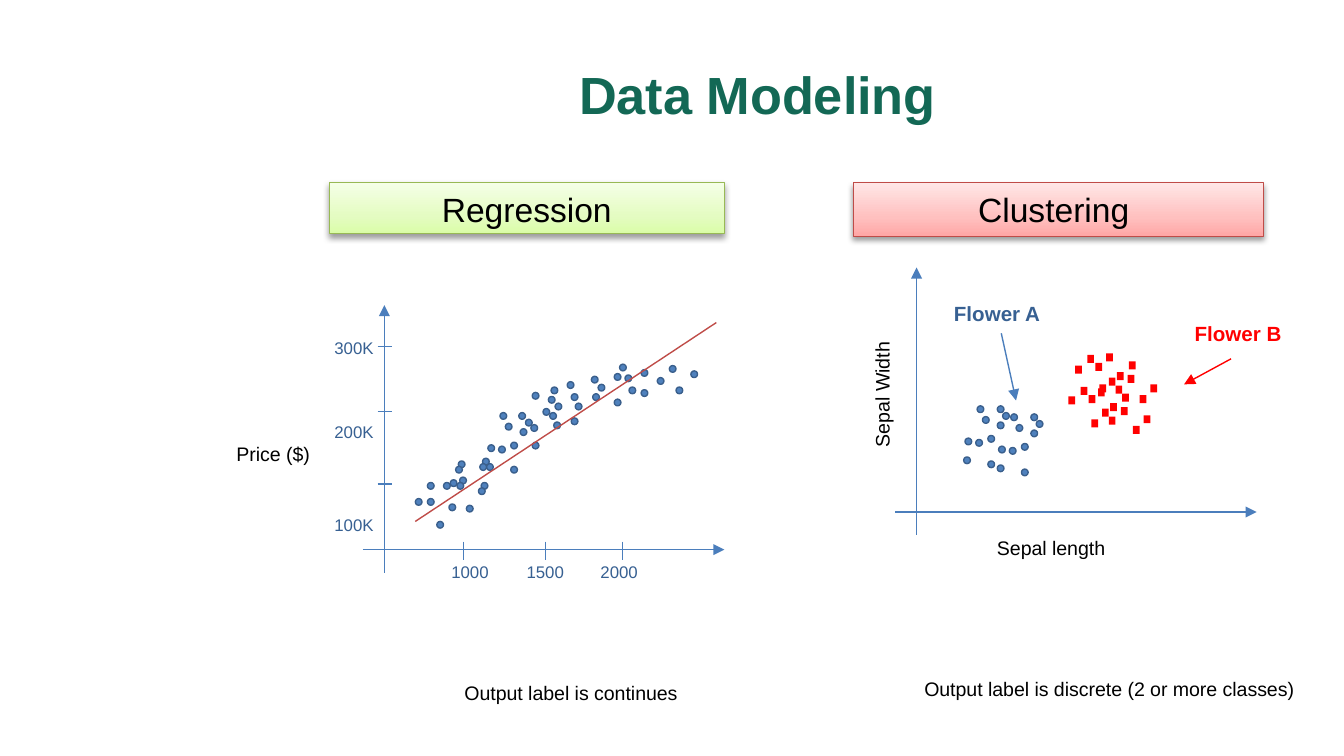
from pptx import Presentation
from pptx.dml.color import RGBColor
from pptx.enum.shapes import MSO_CONNECTOR, MSO_SHAPE
from pptx.enum.text import MSO_ANCHOR, MSO_AUTO_SIZE, PP_ALIGN
from pptx.oxml import parse_xml
from pptx.oxml.ns import nsdecls
from pptx.util import Emu, Pt

PX = 9144  # 100 px to the inch
SLIDE = (1000, 562.5)  # 16:9
FONT = "Arial"
COLORS = {
    "title": "136855", "ink": "000000", "axis": "4B7EBC", "label": "376092",
    "dot": "4F81BD", "dot_edge": "3A5F8C", "trend": "BF4C48", "red": "FF0000",
    "green_edge": "98B955",
}
LEFT, CENTER = PP_ALIGN.LEFT, PP_ALIGN.CENTER

# Content: banners as text, box, edge, gradient stops (percent, colour)
TITLE = ("Data Modeling ", (188, 23, 762, 94))
BANNERS = [
    ("Regression", (245, 136, 294, 38), "green_edge",
     [(0, "DAFDA7"), (35, "E4FCC2"), (100, "F5FFE7")]),
    ("Clustering ", (635, 136, 305, 40), "trend",
     [(0, "FFA6A5"), (35, "FFC0BF"), (100, "FFE7E7")]),
]

# Labels: text, box, size, colour, extra format
LABELS = [
    ("Price ($)", (166, 324, 78, 29), 10.5, "ink", {}),
    ("Output label is continues", (296, 502, 258, 28), 10.5, "ink", {"align": CENTER}),
    ("Output label is discrete (2 or more classes)", (673, 499, 305, 28), 10.5, "ink",
     {"align": CENTER, "wrap": False}),
    ("Sepal length", (732, 394, 156, 29), 10.5, "ink", {}),
    ("Sepal Width", (606, 278, 101, 28), 10.5, "ink", {"rotation": 270}),
    ("Flower A", (700, 219, 90, 29), 11, "label", {"bold": True}),
    ("Flower B", (879, 234, 90, 29), 11, "red", {"bold": True}),
]
AREA_SCALE = (["1000", "1500", "2000"], (326, 413, 207, 25), [56, 111])  # tab stops
PRICE_SCALE = (["300K", "200K", "100K"], (239, 246, 60, 128), [0, 34.6, 38.8])  # space before

# Lines: from x, y, to x, y, colour, arrow
LINES = [
    (270, 409, 539, 409, "axis", True),
    (286, 426, 286, 227, "axis", True),
    (666, 381, 935, 381, "axis", True),
    (682, 398, 682, 199, "axis", True),
    (745, 248, 756, 298, "axis", True),
    (916, 267, 881, 286, "red", True),
]
AREA_TICKS = [345, 406, 463]
PRICE_TICKS = [258, 306, 360]
TREND = (309, 388, 533, 240, "trend", False)

# Points: left, top
HOUSES = [
    (362, 345), (468, 288), (396, 329), (412, 314), (395, 316), (514, 276), (428, 300),
    (445, 286), (461, 271), (372, 307), (371, 332), (477, 275), (441, 293), (457, 278),
    (440, 280), (457, 297), (309, 371), (325, 388), (342, 355), (359, 341), (341, 343),
    (358, 359), (376, 315), (391, 312), (318, 371), (335, 357), (318, 359), (334, 375),
    (387, 319), (404, 304), (386, 307), (410, 288), (330, 359), (347, 376), (396, 292),
    (380, 329), (363, 331), (380, 347), (422, 284), (413, 300), (340, 359), (357, 345),
    (339, 347), (356, 363), (409, 307), (425, 293), (408, 295), (425, 311), (489, 281),
    (465, 279), (503, 288), (498, 272), (477, 290),
]
FLOWER_A = [
    (717, 340), (727, 302), (726, 327), (731, 310), (746, 307),
    (742, 314), (742, 302), (735, 324), (718, 326), (735, 343),
]
FLOWER_A_SHIFT = (25, 6)  # the same group appears a second time
FLOWER_B = [
    (800, 272), (817, 289), (815, 270), (831, 277), (848, 294), (830, 287), (809, 264),
    (825, 281), (823, 263), (840, 269), (856, 286), (839, 279), (795, 295), (812, 312),
    (810, 294), (826, 300), (843, 317), (825, 310), (804, 288), (820, 304), (818, 286),
    (835, 293), (851, 309), (834, 303),
]


def px(*lengths):
    return [Emu(round(length * PX)) for length in lengths]


def rgb(name):
    return RGBColor.from_string(COLORS[name])


def write(para, text, size, color, bold=False, align=LEFT):
    para.alignment = align
    span = para.add_run()
    span.text = text
    span.font.color.rgb = rgb(color)
    for key, value in {"name": FONT, "size": Pt(size), "bold": bold}.items():
        setattr(span.font, key, value)


def add_text_box(page, place, wrap=True, rotation=0):
    box = page.shapes.add_textbox(*px(*place))
    box.rotation = rotation
    box.text_frame.word_wrap = wrap
    box.text_frame.auto_size = MSO_AUTO_SIZE.SHAPE_TO_FIT_TEXT
    return box.text_frame


def add_label(page, text, place, size, color, wrap=True, rotation=0, **style):
    frame = add_text_box(page, place, wrap, rotation)
    write(frame.paragraphs[0], text, size, color, **style)


def add_line(page, x1, y1, x2, y2, color, arrow):
    line = page.shapes.add_connector(MSO_CONNECTOR.STRAIGHT, *px(x1, y1, x2, y2))
    line.line.color.rgb = rgb(color)
    line.line.width = Pt(0.75)
    if arrow:
        line.line._get_or_add_ln().append(
            parse_xml(f'<a:tailEnd {nsdecls("a")} type="triangle"/>'))
    line._element.spPr.append(parse_xml(f'<a:effectLst {nsdecls("a")}/>'))


def add_marks(page, points, kind, size, fill, edge=None):
    for x, y in points:
        mark = page.shapes.add_shape(kind, *px(x, y, *size))
        mark.shadow.inherit = False
        mark.fill.solid()
        mark.fill.fore_color.rgb = rgb(fill)
        if edge:
            mark.line.color.rgb = rgb(edge)
            mark.line.width = Pt(0.75)
        else:
            mark.line.fill.background()


def add_banner(page, text, place, edge, stops):
    banner = page.shapes.add_shape(MSO_SHAPE.RECTANGLE, *px(*place))
    banner.line.color.rgb = rgb(edge)
    banner.line.width = Pt(0.75)
    shades = "".join(f'<a:gs pos="{at * 1000}"><a:srgbClr val="{color}"/></a:gs>'
                     for at, color in stops)
    props = banner._element.spPr
    props.insert(2, parse_xml(
        f'<a:gradFill {nsdecls("a")} rotWithShape="1"><a:gsLst>{shades}</a:gsLst>'
        '<a:lin ang="16200000" scaled="0"/></a:gradFill>'))
    props.append(parse_xml(
        f'<a:effectLst {nsdecls("a")}><a:outerShdw blurRad="40000" dist="20000" '
        'dir="5400000" rotWithShape="0"><a:srgbClr val="000000"><a:alpha val="38000"/>'
        '</a:srgbClr></a:outerShdw></a:effectLst>'))
    banner.text_frame.vertical_anchor = MSO_ANCHOR.TOP
    write(banner.text_frame.paragraphs[0], text, 18, "ink", align=CENTER)


def add_scales(page):
    # Area values, spaced by tab stops
    values, place, stops = AREA_SCALE
    para = add_text_box(page, place).paragraphs[0]
    tabs = "".join(f'<a:tab pos="{stop * PX}" algn="l"/>' for stop in stops)
    para._p.get_or_add_pPr().append(
        parse_xml(f'<a:tabLst {nsdecls("a")}>{tabs}</a:tabLst>'))
    write(para, "\t".join(values), 9, "label")

    # Price values, spaced by paragraph spacing
    values, place, gaps = PRICE_SCALE
    frame = add_text_box(page, place)
    for i, (value, gap) in enumerate(zip(values, gaps)):
        para = frame.add_paragraph() if i else frame.paragraphs[0]
        para.space_before = Pt(gap)
        write(para, value, 9, "label")


def main():
    deck = Presentation()
    deck.slide_width, deck.slide_height = px(*SLIDE)
    page = deck.slides.add_slide(deck.slide_layouts[5])

    # Title and banners
    text, place = TITLE
    title = page.shapes.title
    title.left, title.top, title.width, title.height = px(*place)
    title.text_frame.vertical_anchor = MSO_ANCHOR.MIDDLE
    write(title.text_frame.paragraphs[0], text, 28, "title", bold=True, align=CENTER)
    for banner in BANNERS:
        add_banner(page, *banner)

    # Axes, ticks and pointers
    ticks = [(x, 403, x, 417, "axis", False) for x in AREA_TICKS]
    ticks += [(281, y, 292, y, "axis", False) for y in PRICE_TICKS]
    for line in LINES + ticks:
        add_line(page, *line)

    # Points, with the trend line over the houses
    dx, dy = FLOWER_A_SHIFT
    flowers = FLOWER_A + [(x + dx, y + dy) for x, y in FLOWER_A]
    add_marks(page, HOUSES + flowers, MSO_SHAPE.OVAL, (5, 5), "dot", "dot_edge")
    add_marks(page, FLOWER_B, MSO_SHAPE.RECTANGLE, (5, 6), "red")
    add_line(page, *TREND)

    # Labels
    add_scales(page)
    for text, place, size, color, style in LABELS:
        add_label(page, text, place, size, color, **style)

    deck.save("out.pptx")


if __name__ == "__main__":
    main()
